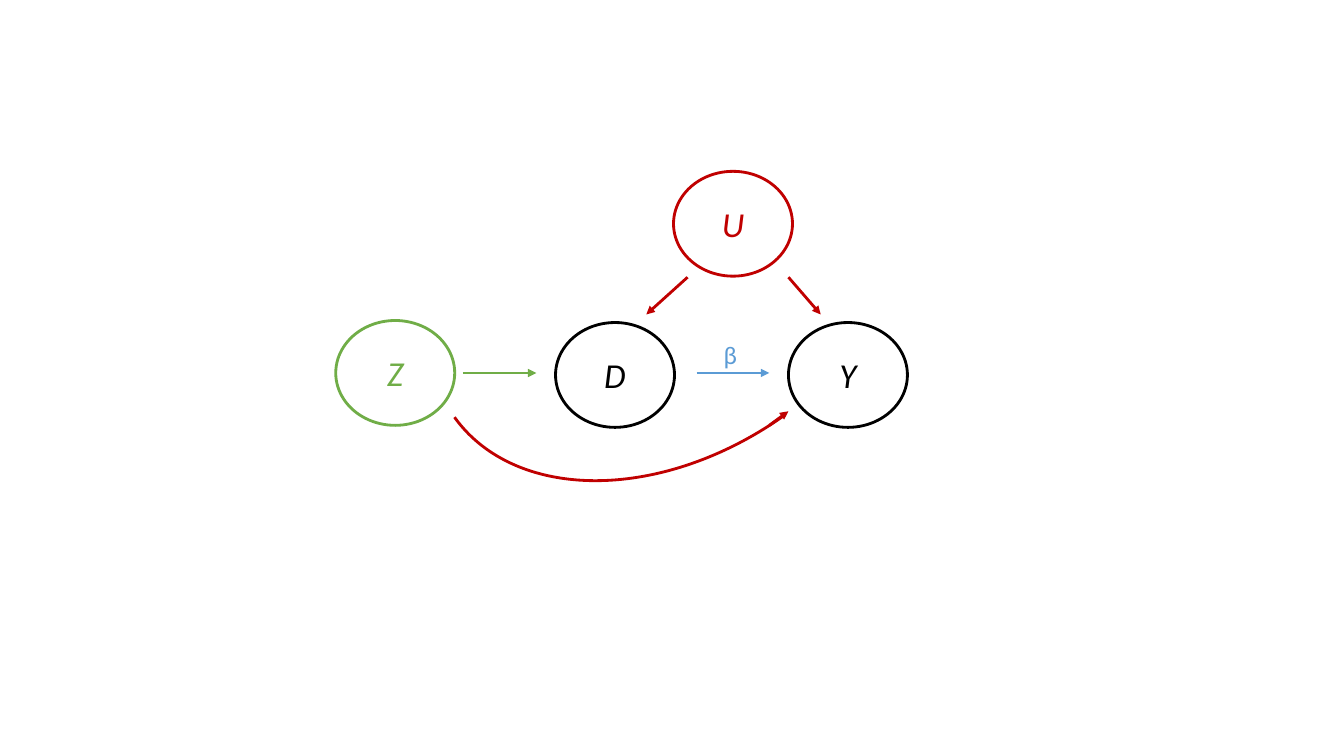
import pptx
import pptx.dml.color
import pptx.enum.shapes
import pptx.enum.text
import pptx.oxml
import pptx.oxml.ns
import pptx.util

Inches = pptx.util.Inches
SHAPES = pptx.enum.shapes.MSO_SHAPE
ALIGN = pptx.enum.text.PP_ALIGN

COLOURS = {"black": "000000", "red": "C00000", "green": "70AD47", "blue": "5B9BD5"}
NODE_WIDTH, NODE_HEIGHT = 1.18, 1.04
LINE_WIDTH = 2


def get_colour(name):
    return pptx.dml.color.RGBColor.from_string(COLOURS[name])


def set_line(shape, colour):
    shape.line.color.rgb = get_colour(colour)
    shape.line.width = pptx.util.Pt(LINE_WIDTH)


def write_text(shape, text, colour, size, italic=False, align=ALIGN.LEFT):
    paragraph = shape.text_frame.paragraphs[0]
    paragraph.alignment = align
    run = paragraph.add_run()
    run.text = text
    run.font.name = "Calibri"
    run.font.size = pptx.util.Pt(size)
    run.font.italic = italic
    run.font.color.rgb = get_colour(colour)


def add_outline(slide, preset, left, top, width, height, colour):
    shape = slide.shapes.add_shape(
        preset, Inches(left), Inches(top), Inches(width), Inches(height))
    shape.shadow.inherit = False
    shape.fill.background()
    set_line(shape, colour)
    return shape


def add_node(slide, text, left, top, colour):
    node = add_outline(slide, SHAPES.OVAL, left, top, NODE_WIDTH, NODE_HEIGHT, colour)
    node.text_frame.vertical_anchor = pptx.enum.text.MSO_ANCHOR.MIDDLE
    write_text(node, text, colour, 25, italic=True, align=ALIGN.CENTER)


def add_arrow(slide, start, end, colour):
    arrow = slide.shapes.add_connector(
        pptx.enum.shapes.MSO_CONNECTOR.STRAIGHT,
        *(Inches(value) for value in (*start, *end)))
    set_line(arrow, colour)
    head = pptx.oxml.parse_xml(
        f'<a:tailEnd {pptx.oxml.ns.nsdecls("a")} type="triangle"/>')
    arrow.line._get_or_add_ln().append(head)
    effects = pptx.oxml.parse_xml(f'<a:effectLst {pptx.oxml.ns.nsdecls("a")}/>')
    arrow._element.spPr.append(effects)


def add_label(slide, text, left, top, width, height, colour):
    label = slide.shapes.add_textbox(
        Inches(left), Inches(top), Inches(width), Inches(height))
    label.text_frame.word_wrap = False
    label.text_frame.auto_size = pptx.enum.text.MSO_AUTO_SIZE.SHAPE_TO_FIT_TEXT
    write_text(label, text, colour, 18)


def main():
    presentation = pptx.Presentation()
    presentation.slide_width = Inches(13.33)
    presentation.slide_height = Inches(7.5)
    slide = presentation.slides.add_slide(presentation.slide_layouts[6])

    for text, left, top, colour in [
        ("D", 5.51, 3.2, "black"),
        ("Y", 7.82, 3.2, "black"),
        ("U", 6.68, 1.7, "red"),
        ("Z", 3.33, 3.18, "green"),
    ]:
        add_node(slide, text, left, top, colour)

    add_label(slide, "β", 7.08, 3.32, 0.34, 0.4, "blue")
    curve = add_outline(slide, SHAPES.ARC, 4.01, 0.7, 5.35, 3.77, "red")
    curve.rotation = 144.5

    for start, end, colour in [
        ((6.91, 3.7), (7.63, 3.7), "blue"),
        ((4.59, 3.7), (5.32, 3.7), "green"),
        ((7.82, 2.75), (8.14, 3.12), "red"),
        ((6.82, 2.75), (6.41, 3.12), "red"),
        ((7.63, 4.22), (7.82, 4.08), "red"),
    ]:
        add_arrow(slide, start, end, colour)

    presentation.save("out.pptx")


if __name__ == "__main__":
    main()
